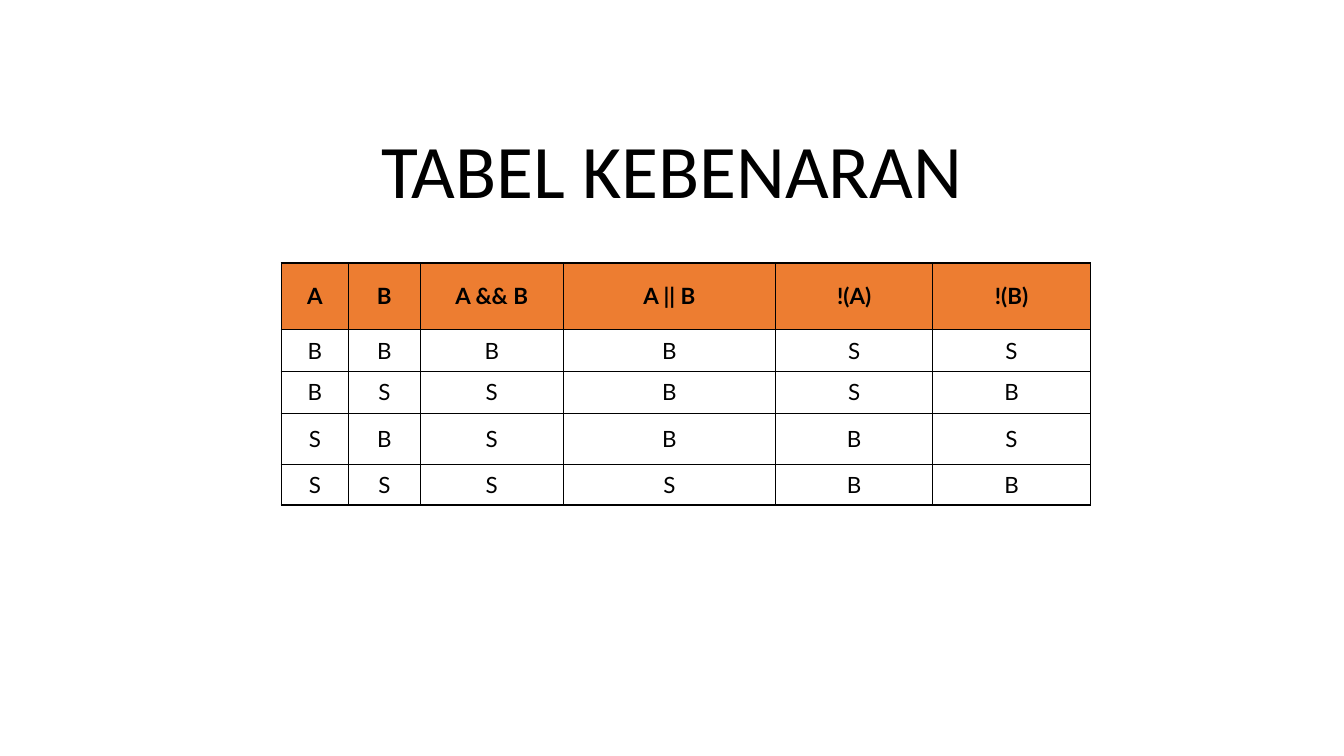
import dataclasses
import itertools

import lxml.etree
import pptx
import pptx.dml.color
import pptx.enum.text
import pptx.oxml.ns
import pptx.slide
import pptx.table
import pptx.text.text
import pptx.util
from typing import Callable

Pt = pptx.util.Pt


@dataclasses.dataclass(frozen=True)
class Theme:
    ink: str = "000000"
    header_fill: str = "ED7D31"
    body_fill: str = "FFFFFF"
    title_font: str = "Calibri"
    table_font: str = "Lato"
    title_size: float = 54
    table_size: float = 16
    border_width: float = 1


@dataclasses.dataclass(frozen=True)
class Column:
    heading: str
    width: float
    rule: Callable[[bool, bool], bool]


THEME = Theme()
COLUMNS = [
    Column("A", 48, lambda a, b: a),
    Column("B", 51.3, lambda a, b: b),
    Column("A && B", 102.2, lambda a, b: a and b),
    Column("A || B", 151.6, lambda a, b: a or b),
    Column("!(A)", 112.4, lambda a, b: not a),
    Column("!(B)", 112.4, lambda a, b: not b),
]
ROW_HEIGHTS = [47.5, 29.8, 30.1, 36.6, 28.8]
TABLE_LEFT, TABLE_TOP = 200.9, 187.9


def rgb(value: str) -> pptx.dml.color.RGBColor:
    return pptx.dml.color.RGBColor.from_string(value)


def write_text(frame: pptx.text.text.TextFrame, text: str, *, font: str, size: float,
               bold: bool = False, line_spacing: float = 1.0) -> None:
    para = frame.paragraphs[0]
    para.alignment = pptx.enum.text.PP_ALIGN.CENTER
    para.line_spacing = line_spacing
    span = para.add_run()
    span.text = text
    span.font.name = font
    span.font.size = Pt(size)
    span.font.bold = bold
    span.font.color.rgb = rgb(THEME.ink)


def add_borders(cell: pptx.table._Cell) -> None:
    """Line all four sides; must run before the cell fill is set."""
    qn = pptx.oxml.ns.qn
    properties = cell._tc.get_or_add_tcPr()
    for side in ("lnL", "lnR", "lnT", "lnB"):
        line = lxml.etree.SubElement(properties, qn(f"a:{side}"), w=str(Pt(THEME.border_width)))
        fill = lxml.etree.SubElement(line, qn("a:solidFill"))
        lxml.etree.SubElement(fill, qn("a:srgbClr"), val=THEME.ink)


def add_title(page: pptx.slide.Slide) -> None:
    title = page.shapes.title
    title.left, title.top, title.width, title.height = Pt(120), Pt(88.5), Pt(720), Pt(68.5)
    frame = title.text_frame
    frame.word_wrap = True
    frame.auto_size = pptx.enum.text.MSO_AUTO_SIZE.NONE
    frame.vertical_anchor = pptx.enum.text.MSO_ANCHOR.BOTTOM
    write_text(frame, "TABEL KEBENARAN", font=THEME.title_font, size=THEME.title_size,
               line_spacing=0.9)


def add_truth_table(page: pptx.slide.Slide) -> None:
    rows = [[column.heading for column in COLUMNS]]
    for a, b in itertools.product((True, False), repeat=2):
        rows.append(["B" if column.rule(a, b) else "S" for column in COLUMNS])

    width = sum(column.width for column in COLUMNS)
    table = page.shapes.add_table(len(rows), len(COLUMNS), Pt(TABLE_LEFT), Pt(TABLE_TOP),
                                  Pt(width), Pt(sum(ROW_HEIGHTS))).table
    table.horz_banding = False
    for index, column in enumerate(COLUMNS):
        table.columns[index].width = Pt(column.width)
    for row_index, (height, texts) in enumerate(zip(ROW_HEIGHTS, rows)):
        table.rows[row_index].height = Pt(height)
        is_header = row_index == 0
        for column_index, text in enumerate(texts):
            cell = table.cell(row_index, column_index)
            add_borders(cell)
            cell.fill.solid()
            cell.fill.fore_color.rgb = rgb(THEME.header_fill if is_header else THEME.body_fill)
            cell.vertical_anchor = pptx.enum.text.MSO_ANCHOR.MIDDLE
            write_text(cell.text_frame, text, font=THEME.table_font, size=THEME.table_size,
                       bold=is_header)


def main() -> None:
    deck = pptx.Presentation()
    deck.slide_width, deck.slide_height = Pt(960), Pt(540)
    page = deck.slides.add_slide(deck.slide_layouts.get_by_name("Title Slide"))
    subtitle = page.placeholders[1].element
    subtitle.getparent().remove(subtitle)
    add_title(page)
    add_truth_table(page)
    deck.save("out.pptx")


if __name__ == "__main__":
    main()
